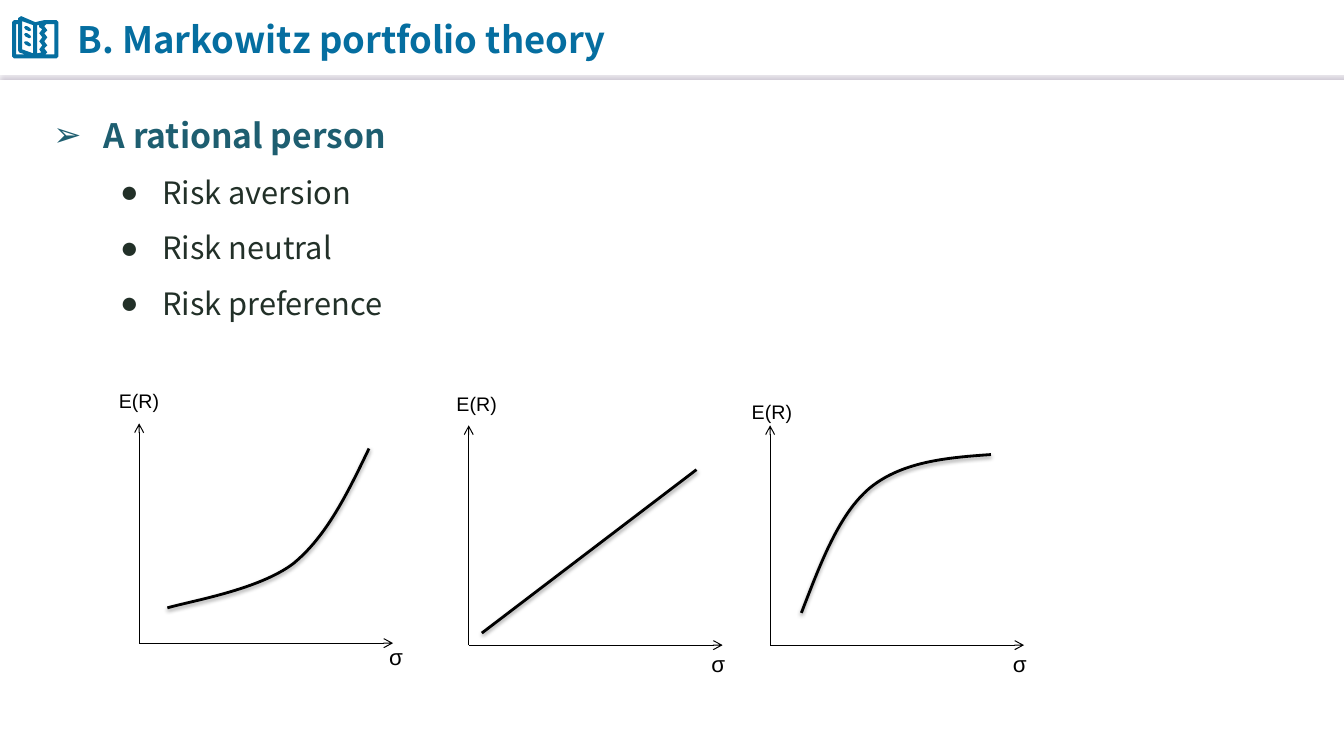
from lxml.etree import SubElement
from pptx import Presentation
from pptx.dml.color import RGBColor
from pptx.enum.shapes import MSO_CONNECTOR
from pptx.enum.text import MSO_ANCHOR, MSO_AUTO_SIZE
from pptx.oxml.ns import qn
from pptx.util import Pt

TITLE = "B. Markowitz portfolio theory"
BULLETS = [
    ("A rational person", 0, "head"),
    ("Risk aversion", 1, "item"),
    ("Risk neutral", 1, "item"),
    ("Risk preference", 1, "item"),
]
PANELS = [
    {"origin": (99.4, 459.4), "return": (-21.6, -185), "risk": (171.4, -3.6),
     "curve": [(164.2, -139), (149, -107.3), (133.9, -76.3), (110.2, -56.9),
               (85.7, -38.2), (37.4, -30.2), (20.2, -25.2)]},
    {"origin": (334.8, 460.8), "return": (-15.8, -184.3), "risk": (166.3, 0),
     "curve": [(9.4, -8.6), (162.7, -125.3)]},
    {"origin": (550.1, 460.8), "return": (-20.2, -178.6), "risk": (166.3, 0),
     "curve": [(22.3, -23), (36, -58.3), (49, -93.6), (71.3, -112.3),
               (94.3, -131), (126, -133.9), (157.7, -136.1)]},
]
AXIS_W, AXIS_H = 181.4, 157
ICON_UNIT, CURVE_UNIT = 0.72, 0.01
TEXT_MARK = [(25, 41), (27, 41), (30, 43), (31, 45), (29, 46), (25, 44), (24, 42)]
BOOK = [
    [(21, 16), (35, 22), (44, 20), (56, 20), (58, 22), (58, 56), (56, 58),
     (14, 58), (12, 56), (12, 22), (14, 20), (18, 20), (18, 18)],
    [(16, 24), (16, 54), (25, 54), (19, 52), (18, 50), (18, 24)],
    [(22, 21), (22, 49), (33, 53), (33, 25)],
    [(39, 25), (37, 25), (37, 53), (41, 52), (39, 49), (42, 45), (39, 41),
     (42, 37), (39, 33), (42, 29), (39, 27)],
    [(46, 24), (44, 26), (47, 30), (44, 33), (47, 37), (44, 41), (47, 45),
     (44, 48), (47, 52), (45, 54), (54, 54), (54, 24)],
] + [[(x, y - dy) for x, y in TEXT_MARK] for dy in (0, 8, 15)]

THEME = {
    "title": {"size": Pt(26), "name": "Noto Sans CJK SC", "bold": True, "color": "056EA0"},
    "head": {"size": Pt(24), "name": "Noto Sans CJK SC", "bold": True, "color": "1E5E70"},
    "item": {"size": Pt(22), "name": "Noto Sans CJK SC", "bold": False, "color": "223028"},
    "return": {"size": Pt(14), "name": "Arial", "color": "000000"},
    "risk": {"size": Pt(16), "name": "Arial", "color": "000000"},
    "ink": "000000",
    "rule": "FFFFFF",
    "rule_shadow": ("BCB4C4", 100, 1, 3),
    "curve_shadow": ("000000", 38, 3.1, 1.6),
}
LEVELS = [("➢", 36, -36), ("●", 77.8, -30.2)]


def write(p, text, style):
    r = p.add_run()
    r.text = text
    for key, val in THEME[style].items():
        if key == "color":
            r.font.color.rgb = RGBColor.from_string(val)
        else:
            setattr(r.font, key, val)


def place(sp, x, y, w, h):
    for key, val in {"left": x, "top": y, "width": w, "height": h}.items():
        setattr(sp, key, Pt(val))


def stroke(sp, color, width, shadow=None, arrow=False):
    sp.line.color.rgb = RGBColor.from_string(color)
    sp.line.width = Pt(width)
    if arrow:
        SubElement(sp.line._get_or_add_ln(), qn("a:tailEnd"), type="arrow")
    fx = SubElement(sp._element.spPr, qn("a:effectLst"))
    if shadow:
        rgb, alpha, blur, dist = shadow
        sh = SubElement(fx, qn("a:outerShdw"), blurRad=str(Pt(blur)),
                        dist=str(Pt(dist)), dir="5400000", rotWithShape="0")
        clr = SubElement(sh, qn("a:srgbClr"), val=rgb)
        SubElement(clr, qn("a:alpha"), val=str(alpha * 1000))


def line(shapes, x1, y1, x2, y2, *style):
    sp = shapes.add_connector(MSO_CONNECTOR.STRAIGHT, Pt(x1), Pt(y1), Pt(x2), Pt(y2))
    stroke(sp, *style)


def draw_book(shapes):
    fb = shapes.build_freeform(*BOOK[0][0], scale=Pt(ICON_UNIT))
    for i, pts in enumerate(BOOK):
        if i:
            fb.move_to(*pts[0])
        fb.add_line_segments(pts[1:], close=True)
    sp = fb.convert_to_shape()
    sp.shadow.inherit = False
    sp.fill.solid()
    sp.fill.fore_color.rgb = RGBColor.from_string(THEME["title"]["color"])
    sp.line.fill.background()


def draw_curve(shapes, pts):
    pts = [(x / CURVE_UNIT, y / CURVE_UNIT) for x, y in pts]
    fb = shapes.build_freeform(*pts[0], scale=Pt(CURVE_UNIT))
    fb.add_line_segments(pts[1:], close=False)
    sp = fb.convert_to_shape()
    sp.fill.background()
    stroke(sp, THEME["ink"], 2, THEME["curve_shadow"])
    segs = list(sp._element.iter(qn("a:lnTo")))
    for i in range(0, len(segs), 3):
        outline = segs[i].getparent()
        bez = SubElement(outline, qn("a:cubicBezTo"))
        for seg in segs[i:i + 3]:
            bez.append(seg[0])
            outline.remove(seg)


def draw_panel(shapes, panel):
    x, y = panel["origin"]
    for dx, dy in ((AXIS_W, 0), (0, -AXIS_H)):
        line(shapes, x, y, x + dx, y + dy, THEME["ink"], 0.75, None, True)
    pts = [(x + dx, y + dy) for dx, dy in panel["curve"]]
    if len(pts) == 2:
        line(shapes, *pts[0], *pts[1], THEME["ink"], 2, THEME["curve_shadow"])
    else:
        draw_curve(shapes, pts)
    for key, text, w, h in (("return", "E(R)", 50.4, 29.5), ("risk", "σ", 30.2, 32.4)):
        dx, dy = panel[key]
        tf = shapes.add_textbox(Pt(x + dx), Pt(y + dy), Pt(w), Pt(h)).text_frame
        tf.word_wrap = True
        write(tf.paragraphs[0], text, key)


def main():
    """Build the risk attitude slide and save it."""
    prs = Presentation()
    prs.slide_width, prs.slide_height = Pt(960), Pt(540)
    s = prs.slides.add_slide(prs.slide_layouts[1])
    title, body = s.placeholders
    place(title, 48.2, 5, 769, 45.4)
    title.text_frame.vertical_anchor = MSO_ANCHOR.MIDDLE
    title.text_frame.auto_size = MSO_AUTO_SIZE.NONE
    p = title.text_frame.paragraphs[0]
    p._p.get_or_add_pPr().set("algn", "l")
    write(p, TITLE, "title")

    place(body, 31, 64.1, 897.8, 445.7)
    tf = body.text_frame
    tf.auto_size = MSO_AUTO_SIZE.NONE
    for i, (text, level, style) in enumerate(BULLETS):
        p = tf.add_paragraph() if i else tf.paragraphs[0]
        for key, val in {"level": level, "line_spacing": 1.5, "space_before": Pt(0)}.items():
            setattr(p, key, val)
        char, left, indent = LEVELS[level]
        pPr = p._p.get_or_add_pPr()
        pPr.set("marL", str(Pt(left)))
        pPr.set("indent", str(Pt(indent)))
        SubElement(pPr, qn("a:buFont"), typeface="Arial")
        SubElement(pPr, qn("a:buChar"), char=char)
        write(p, text, style)

    line(s.shapes, 0, 52.6, 960, 52.6, THEME["rule"], 0.75, THEME["rule_shadow"])
    draw_book(s.shapes)
    for panel in PANELS:
        draw_panel(s.shapes.add_group_shape().shapes, panel)
    prs.save("out.pptx")


if __name__ == "__main__":
    main()
